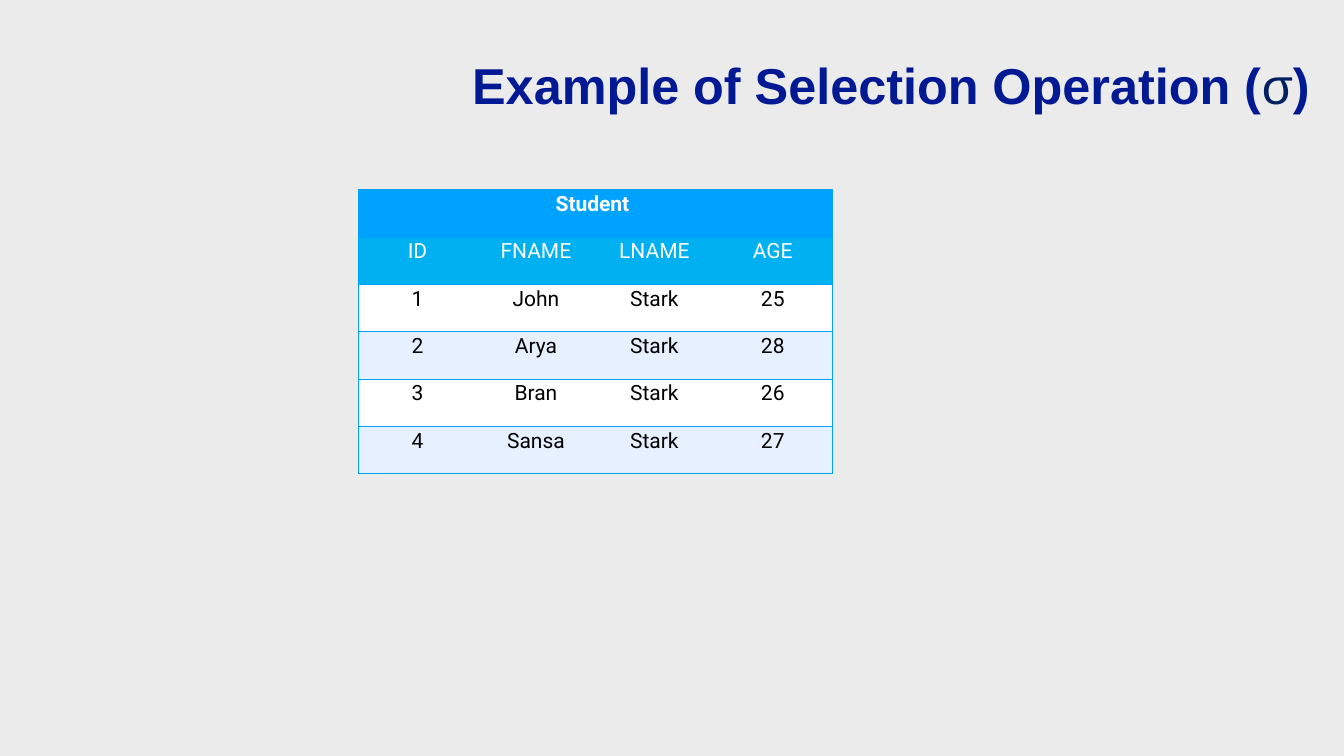
"""Build a slide showing the Student table for the selection operation."""
import pptx
import pptx.dml.color
import pptx.enum.text
import pptx.oxml.ns
import pptx.util
from lxml import etree

PX = 9144
BORDER = "00A2FF"
NO_STYLE = "{2D5ABB26-0587-4C30-8999-92F81FD0307C}"
COLUMN_WIDTH, ROW_HEIGHT = 235, 94


def color(value):
    return pptx.dml.color.RGBColor.from_string(value)


def add_run(paragraph, text, font_name, size, text_color, bold):
    run = paragraph.add_run()
    run.text = text
    font_values = {"name": font_name, "size": pptx.util.Pt(size), "bold": bold}
    for name, value in font_values.items():
        setattr(run.font, name, value)
    run.font.color.rgb = color(text_color)


presentation = pptx.Presentation()
presentation.slide_width = 2667 * PX
presentation.slide_height = 1500 * PX
slide = presentation.slides.add_slide(presentation.slide_layouts[6])
slide.background.fill.solid()
slide.background.fill.fore_color.rgb = color("EBEBEB")

title = slide.shapes.add_textbox(155 * PX, 101 * PX, 2450 * PX, 132 * PX)
frame_values = {
    "word_wrap": True,
    "vertical_anchor": pptx.enum.text.MSO_ANCHOR.MIDDLE,
    "margin_left": 6 * PX,
    "margin_right": 6 * PX,
    "margin_top": 6 * PX,
    "margin_bottom": 6 * PX,
}
for name, value in frame_values.items():
    setattr(title.text_frame, name, value)
paragraph = title.text_frame.paragraphs[0]
paragraph.alignment = pptx.enum.text.PP_ALIGN.RIGHT
for text, text_color, bold in [
    ("Example of Selection Operation (", "011993", True),
    ("σ", "002060", False),
    (")", "011993", True),
]:
    add_run(paragraph, text, "Arial", 72, text_color, bold)

students = [
    ["Student ", "", "", ""],
    ["ID", "FNAME", "LNAME", "AGE"],
    ["1", "John", "Stark", "25"],
    ["2", "Arya", "Stark", "28"],
    ["3", "Bran", "Stark", "26"],
    ["4", "Sansa", "Stark", "27"],
]
row_fills = ["00A2FF", "00B0F0"] + ["FFFFFF", "E7F0FF"] * 2
row_count, column_count = len(students), len(students[0])
table = slide.shapes.add_table(
    row_count, column_count, 711 * PX, 376 * PX,
    column_count * COLUMN_WIDTH * PX, row_count * ROW_HEIGHT * PX,
).table
table.first_row = False
table.horz_banding = False
table._tbl.tblPr.find(pptx.oxml.ns.qn("a:tableStyleId")).text = NO_STYLE
for column in table.columns:
    column.width = COLUMN_WIDTH * PX
for row in table.rows:
    row.height = ROW_HEIGHT * PX
table.cell(0, 0).merge(table.cell(0, column_count - 1))

for row_index, values in enumerate(students):
    for column_index, text in enumerate(values):
        cell = table.cell(row_index, column_index)
        sides = ["lnT", "lnB"]
        if column_index == column_count - 1 or row_index == 0:
            sides.insert(0, "lnR")
        if column_index == 0:
            sides.insert(0, "lnL")
        properties = cell._tc.get_or_add_tcPr()
        for side in sides:
            line = etree.SubElement(properties, pptx.oxml.ns.qn(f"a:{side}"), w="12700")
            fill = etree.SubElement(line, pptx.oxml.ns.qn("a:solidFill"))
            etree.SubElement(fill, pptx.oxml.ns.qn("a:srgbClr"), val=BORDER)
        cell.fill.solid()
        cell.fill.fore_color.rgb = color(row_fills[row_index])
        if text:
            paragraph = cell.text_frame.paragraphs[0]
            paragraph.alignment = pptx.enum.text.PP_ALIGN.CENTER
            text_color = "FFFFFF" if row_index < 2 else "000000"
            add_run(paragraph, text, "Roboto", 30, text_color, row_index == 0)

presentation.save("out.pptx")
